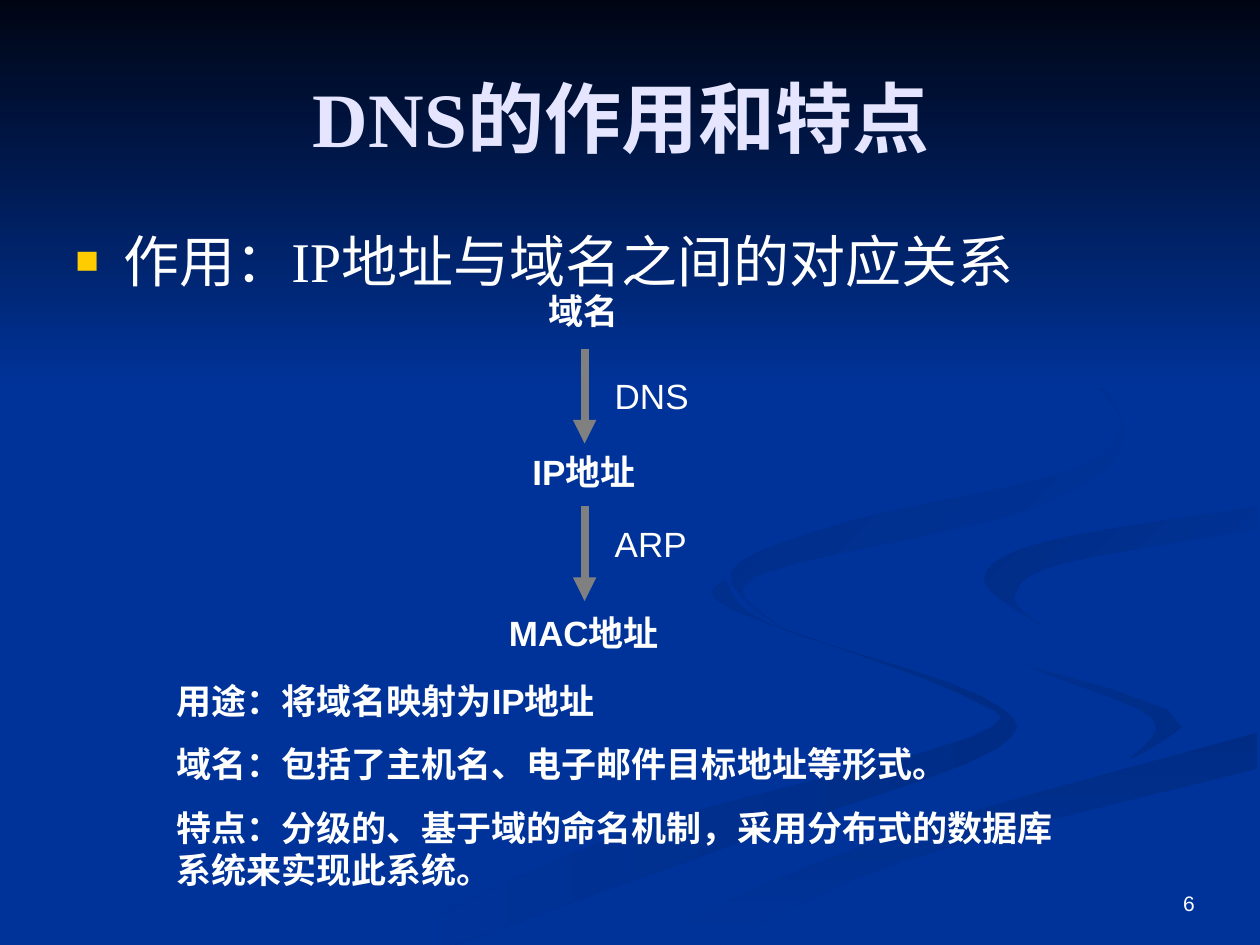
from dataclasses import dataclass

from lxml.etree import SubElement
from pptx import Presentation
from pptx.dml.color import RGBColor
from pptx.enum.shapes import MSO_CONNECTOR as Connector
from pptx.enum.text import MSO_ANCHOR as Anchor, PP_ALIGN as Align
from pptx.oxml.ns import qn
from pptx.util import Inches, Pt

CELL = Inches(0.1)
COLUMNS, ROWS = 100, 75
CURVE_STEPS = 5


@dataclass(frozen=True)
class Theme:
    """Colours, fonts and type sizes of the slide."""
    blue: str = "003399"
    night: str = "000514"
    shade: str = "002C85"
    title: str = "E5E5FF"
    text: str = "FFFFFF"
    bullet: str = "FFCC00"
    arrow: str = "808080"
    serif: str = "Times New Roman"
    sans: str = "Arial"
    title_size: int = 44
    body_size: int = 32
    label_size: int = 20
    number_size: int = 12


THEME = Theme()
RISING = (THEME.shade, THEME.blue)
FALLING = (THEME.blue, THEME.shade)

RIBBONS = [
    (RISING, 180,
     [(57.5, 46), (61, 49.5), (78, 55.3), (79, 59.5), (61, 66), (36, 75)],
     [(30, 75), (50, 66), (77, 58.5), (76, 55), (58, 48.3), (57.5, 46)]),
    (RISING, 135,
     [(72.4, 46.4), (77, 50.2), (90.5, 54), (94.3, 57), (89.4, 60.5)],
     [(89.4, 60.5), (91.5, 57), (82, 53), (73, 48.3), (72.4, 46.4)]),
    (RISING, 270,
     [(50.3, 75), (69, 66.9), (99.8, 58.1)],
     [(99.8, 61), (72, 68.2), (57, 75)]),
    ((THEME.blue,), 0,
     [(47.7, 75), (66, 66.8), (94, 58), (74, 50), (77, 42.7), (99.9, 38.7)],
     [(99.9, 40.2), (80, 44.2), (81, 49), (99.9, 53.8)],
     [(99.9, 58.1), (69, 66.9), (50.3, 75)]),
    (FALLING, 135,
     [(82.6, 49.6), (78.1, 46), (83, 43), (99.8, 40.2)],
     [(99.8, 42), (84, 44.8), (80.5, 47.4), (82.6, 49.6)]),
    (FALLING, 135,
     [(76.2, 23.3), (87, 30), (87, 36.5), (67, 41.5), (58, 45.4), (62.2, 50)],
     [(62.2, 50), (60, 45.7), (83, 40), (89, 33), (76.2, 23.3)]),
]


def cells(*lengths):
    """Turn grid lengths into slide units."""
    return [round(length * CELL) for length in lengths]


def blend(before, start, end, after, share):
    """Return one coordinate of a curve through start and end."""
    return start + share / 2 * (
        end - before + share * (
            2 * before - 5 * start + 4 * end - after
            + share * (3 * (start - end) + after - before)))


def smooth(edge):
    """Fill in the curve that runs through the points of an edge."""
    knots = [edge[0], *edge, edge[-1]]
    curve = [tuple(blend(*axis, step / CURVE_STEPS) for axis in zip(*span))
             for span in zip(knots, knots[1:], knots[2:], knots[3:])
             for step in range(CURVE_STEPS)]
    return [*curve, edge[-1]]


def add_band(slide, colours, angle, *edges):
    """Draw a borderless area between curved edges, plain or in a gradient."""
    outline = [cells(*point) for edge in edges for point in smooth(edge)]
    builder = slide.shapes.build_freeform(*outline[0])
    builder.add_line_segments(outline[1:], close=True)
    band = builder.convert_to_shape()
    band.shadow.inherit = False
    band.line.fill.background()
    if len(colours) == 1:
        band.fill.solid()
        band.fill.fore_color.rgb = RGBColor.from_string(colours[0])
        return
    band.fill.gradient()
    band.fill.gradient_angle = angle
    for stop, colour in zip(band.fill.gradient_stops, colours):
        stop.color.rgb = RGBColor.from_string(colour)


def add_bullet(paragraph, symbol, colour, percent):
    """Give a paragraph a hanging coloured bullet."""
    props = paragraph._p.get_or_add_pPr()
    props.set("marL", str(Inches(0.38)))
    props.set("indent", str(-Inches(0.38)))
    holder = SubElement(props, qn("a:buClr"))
    SubElement(holder, qn("a:srgbClr"), val=colour)
    SubElement(props, qn("a:buSzPct"), val=str(percent * 1000))
    SubElement(props, qn("a:buFont"), typeface=THEME.sans)
    SubElement(props, qn("a:buChar"), char=symbol)


def add_text(slide, area, *lines, size=THEME.label_size, font=THEME.sans,
             colour=THEME.text, bold=False, align=Align.LEFT, anchor=Anchor.TOP,
             before=0, after=0, leading=None, bullet=None):
    """Place a wrapped text box with one paragraph per line."""
    frame = slide.shapes.add_textbox(*cells(*area)).text_frame
    frame.word_wrap = True
    frame.vertical_anchor = anchor
    for index, line in enumerate(lines):
        paragraph = frame.add_paragraph() if index else frame.paragraphs[0]
        paragraph.alignment = align
        paragraph.space_before, paragraph.space_after = Pt(before), Pt(after)
        if leading:
            paragraph.line_spacing = Pt(leading)
        if bullet:
            add_bullet(paragraph, bullet, THEME.bullet, 70)
        run = paragraph.add_run()
        run.text = line
        run.font.name, run.font.size, run.font.bold = font, Pt(size), bold
        run.font.color.rgb = RGBColor.from_string(colour)


def add_arrow(slide, column, top, bottom):
    """Draw a downward arrow in one column."""
    arrow = slide.shapes.add_connector(
        Connector.STRAIGHT, *cells(column, top, column, bottom))
    arrow.line.color.rgb = RGBColor.from_string(THEME.arrow)
    arrow.line.width = Pt(4.5)
    SubElement(arrow.line._get_or_add_ln(), qn("a:tailEnd"), type="triangle")
    SubElement(arrow._element.spPr, qn("a:effectLst"))


def add_resolution_chain(slide):
    """Show how a domain name becomes an IP and then a MAC address."""
    add_text(slide, (36.5, 22.5, 19.7, 30.8), "域名", "IP地址", "MAC地址",
             bold=True, align=Align.CENTER, leading=24, after=68)
    for step, protocol in enumerate(("DNS", "ARP")):
        top = 27.7 + 12.5 * step
        add_arrow(slide, 46.4, top, top + 7.5)
        add_text(slide, (47.8, 29.2 + 11.8 * step, 10.2, 4), protocol)


def main():
    """Build the slide and save it."""
    deck = Presentation()
    deck.slide_width, deck.slide_height = cells(COLUMNS, ROWS)
    slide = deck.slides.add_slide(deck.slide_layouts[6])
    slide.background.fill.solid()
    slide.background.fill.fore_color.rgb = RGBColor.from_string(THEME.blue)
    for ribbon in RIBBONS:
        add_band(slide, *ribbon)
    add_band(slide, (THEME.night, THEME.blue), 270,
             [(0, 0), (COLUMNS, 0)], [(COLUMNS, 30.8), (0, 30.8)])
    add_text(slide, (75, 70, 20.8, 3.3), "6", size=THEME.number_size,
             align=Align.RIGHT, anchor=Anchor.MIDDLE)
    add_text(slide, (5, 3, 90, 12.5), "DNS的作用和特点 ", bold=True,
             size=THEME.title_size, font=THEME.serif, colour=THEME.title,
             align=Align.CENTER, anchor=Anchor.MIDDLE)
    add_text(slide, (5, 17.5, 90, 11), "作用：IP地址与域名之间的对应关系",
             size=THEME.body_size, font=THEME.serif, before=8, bullet="■")
    add_text(slide, (13, 53.4, 73.3, 17.8),
             "用途：将域名映射为IP地址",
             "域名：包括了主机名、电子邮件目标地址等形式。",
             "特点：分级的、基于域的命名机制，采用分布式的数据库系统来实现此系统。",
             bold=True, before=12.5)
    add_resolution_chain(slide)
    deck.save("out.pptx")


if __name__ == "__main__":
    main()
